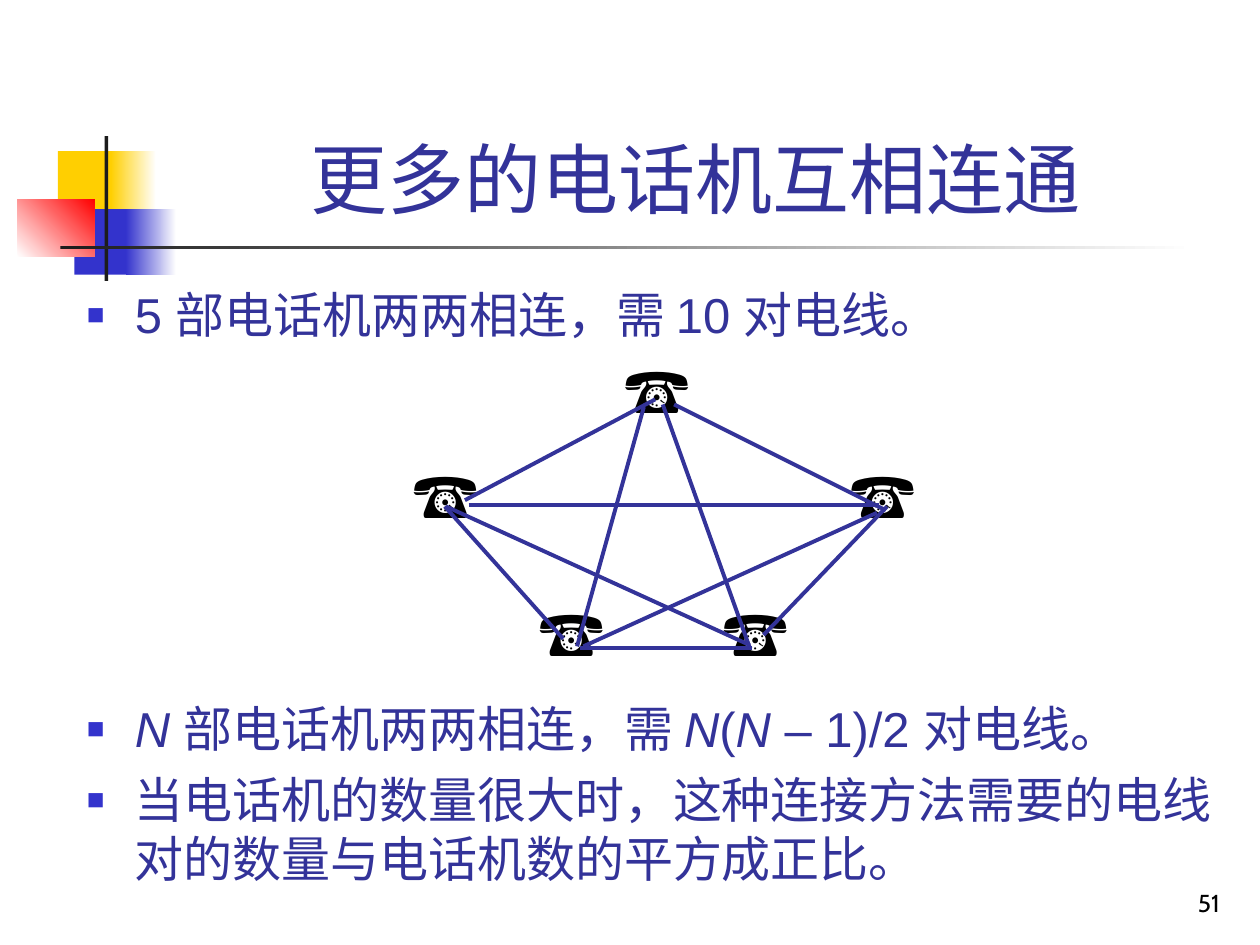
from lxml.etree import SubElement
from pptx import Presentation
from pptx.dml.color import RGBColor
from pptx.enum.shapes import MSO_CONNECTOR, MSO_SHAPE
from pptx.enum.text import MSO_ANCHOR, MSO_AUTO_SIZE, PP_ALIGN
from pptx.oxml.ns import qn
from pptx.util import Inches, Pt

NAVY = RGBColor(0x33, 0x33, 0x99)
BLUE = RGBColor(0x33, 0x33, 0xCC)
YELLOW = RGBColor(0xFF, 0xCF, 0x01)
RED = RGBColor(0xFF, 0x00, 0x00)
DARK = RGBColor(0x1C, 0x1C, 0x1C)
WHITE = RGBColor(0xFF, 0xFF, 0xFF)
BLACK = RGBColor(0x00, 0x00, 0x00)

TITLE_FONT = {"name": "Arial", "size": Pt(44)}
BODY_FONT = {"name": "Arial", "size": Pt(28)}
PHONE_FONT = {"name": "Arial", "size": Pt(36)}
NUMBER_FONT = {"name": "Cabin", "size": Pt(14)}

BLOCKS = [
    (0.32, 0.12, 0.48, 0.52, (YELLOW,), 0),
    (0.74, 0.12, 0.36, 0.52, (YELLOW, WHITE), 0),
    (0.45, 0.58, 0.46, 0.52, (BLUE,), 0),
    (0.86, 0.58, 0.4, 0.52, (BLUE, WHITE), 0),
    (0, 0.5, 0.61, 0.46, (WHITE, RED), 45),
    (0.69, 0, 0.03, 1.15, (DARK,), 0),
    (0.34, 0.87, 9, 0.03, (DARK, WHITE), 0),
]
PHONES = [(1.68, 0), (0, 0.84), (1, 1.93), (3.47, 0.84), (2.46, 1.93)]
WIRES = [
    (0.51, 1.24, 2.02, 0.44),
    (2.17, 0.48, 3.85, 1.32),
    (0.35, 1.29, 1.29, 2.34),
    (1.42, 2.41, 2.79, 2.41),
    (2.88, 2.31, 3.86, 1.29),
    (2.08, 0.48, 2.77, 2.41),
    (1.93, 0.5, 1.4, 2.4),
    (0.54, 1.28, 3.8, 1.28),
    (0.36, 1.29, 2.77, 2.39),
    (1.45, 2.4, 3.78, 1.34),
]
BULLETS = [
    (0, [("5 部电话机两两相连，需 10 对电线。", False)]),
    (203, [("N ", True), ("部电话机两两相连，需 ", False), ("N", True),
           ("(", False), ("N", True), (" – 1)/2 对电线。", False)]),
    (7, [("当电话机的数量很大时，这种连接方法需要的电线"
          "对的数量与电话机数的平方成正比。", False)]),
]


def set_font(font, values, color):
    """Apply a dict of font values and a colour."""
    for key, value in values.items():
        setattr(font, key, value)
    font.color.rgb = color


def set_box(sp, left, top, width, height):
    """Move and size a shape, in inches."""
    box = {"left": left, "top": top, "width": width, "height": height}
    for key, value in box.items():
        setattr(sp, key, Inches(value))


def add_decoration(s, left, top):
    """Draw the coloured blocks and rules beside the title."""
    for x, y, w, h, colors, angle in BLOCKS:
        sp = s.shapes.add_shape(MSO_SHAPE.RECTANGLE, Inches(left + x),
                                Inches(top + y), Inches(w), Inches(h))
        sp.shadow.inherit = False
        sp.line.fill.background()
        if len(colors) == 1:
            sp.fill.solid()
            sp.fill.fore_color.rgb = colors[0]
        else:
            sp.fill.gradient()
            sp.fill.gradient_angle = angle
            for stop, color in zip(sp.fill.gradient_stops, colors):
                stop.color.rgb = color


def add_title(s, left, top, width, height):
    """Fill the title placeholder."""
    sp = s.shapes.title
    set_box(sp, left, top, width, height)
    tf = sp.text_frame
    tf.auto_size = MSO_AUTO_SIZE.NONE
    tf.vertical_anchor = MSO_ANCHOR.BOTTOM
    p = tf.paragraphs[0]
    p.text = "更多的电话机互相连通"
    p.alignment = PP_ALIGN.CENTER
    set_font(p.runs[0].font, TITLE_FONT, NAVY)


def add_bullet(p):
    """Give a paragraph a small blue square bullet with a hanging indent."""
    pPr = p._p.get_or_add_pPr()
    pPr.set("marL", str(Inches(0.38)))
    pPr.set("indent", str(Inches(-0.38)))
    clr = SubElement(pPr, qn("a:buClr"))
    SubElement(clr, qn("a:srgbClr"), val=str(BLUE))
    SubElement(pPr, qn("a:buSzPct"), val="60000")
    SubElement(pPr, qn("a:buFont"), typeface="Arial")
    SubElement(pPr, qn("a:buChar"), char="■")


def add_body(s, left, top, width, height):
    """Fill the body placeholder, leaving room for the network."""
    sp = s.placeholders[1]
    set_box(sp, left, top, width, height)
    tf = sp.text_frame
    tf.auto_size = MSO_AUTO_SIZE.NONE
    for i, (space, runs) in enumerate(BULLETS):
        p = tf.add_paragraph() if i else tf.paragraphs[0]
        add_bullet(p)
        p.space_before = Pt(space)
        for text, italic in runs:
            r = p.add_run()
            r.text = text
            r.font.italic = italic
            set_font(r.font, BODY_FONT, NAVY)


def add_label(s, box, text, font):
    """Add a one-line black text box and return it."""
    sp = s.shapes.add_textbox(*(Inches(v) for v in box))
    p = sp.text_frame.paragraphs[0]
    p.text = text
    set_font(p.runs[0].font, font, BLACK)
    return sp


def add_network(s, left, top):
    """Draw five telephones and the ten wires that join them."""
    for x, y in PHONES:
        sp = add_label(s, (left + x, top + y, 0.85, 0.7), "☎", PHONE_FONT)
        sp.text_frame.word_wrap = False
        sp.text_frame.auto_size = MSO_AUTO_SIZE.SHAPE_TO_FIT_TEXT
    for x1, y1, x2, y2 in WIRES:
        wire = s.shapes.add_connector(
            MSO_CONNECTOR.STRAIGHT, Inches(left + x1), Inches(top + y1),
            Inches(left + x2), Inches(top + y2))
        wire.line.color.rgb = NAVY
        wire.line.width = Pt(2.25)
        SubElement(wire._element.spPr, qn("a:effectLst"))


def add_page_number(s, left, top, width, height):
    """Add the page number at the lower right."""
    sp = add_label(s, (left, top, width, height), "51", NUMBER_FONT)
    tf = sp.text_frame
    tf.word_wrap = True
    tf.vertical_anchor = MSO_ANCHOR.BOTTOM
    tf.paragraphs[0].alignment = PP_ALIGN.RIGHT


def main():
    """Build the slide and save it."""
    prs = Presentation()
    prs.slide_width, prs.slide_height = Inches(10), Inches(7.5)
    s = prs.slides.add_slide(prs.slide_layouts[1])
    add_decoration(s, 0.14, 1.08)
    add_page_number(s, 7.7, 6.83, 2.08, 0.5)
    add_title(s, 1.26, 0.23, 8.52, 1.6)
    add_body(s, 0.59, 2.21, 9.41, 5.29)
    add_network(s, 3.18, 2.73)
    prs.save("out.pptx")


if __name__ == "__main__":
    main()
